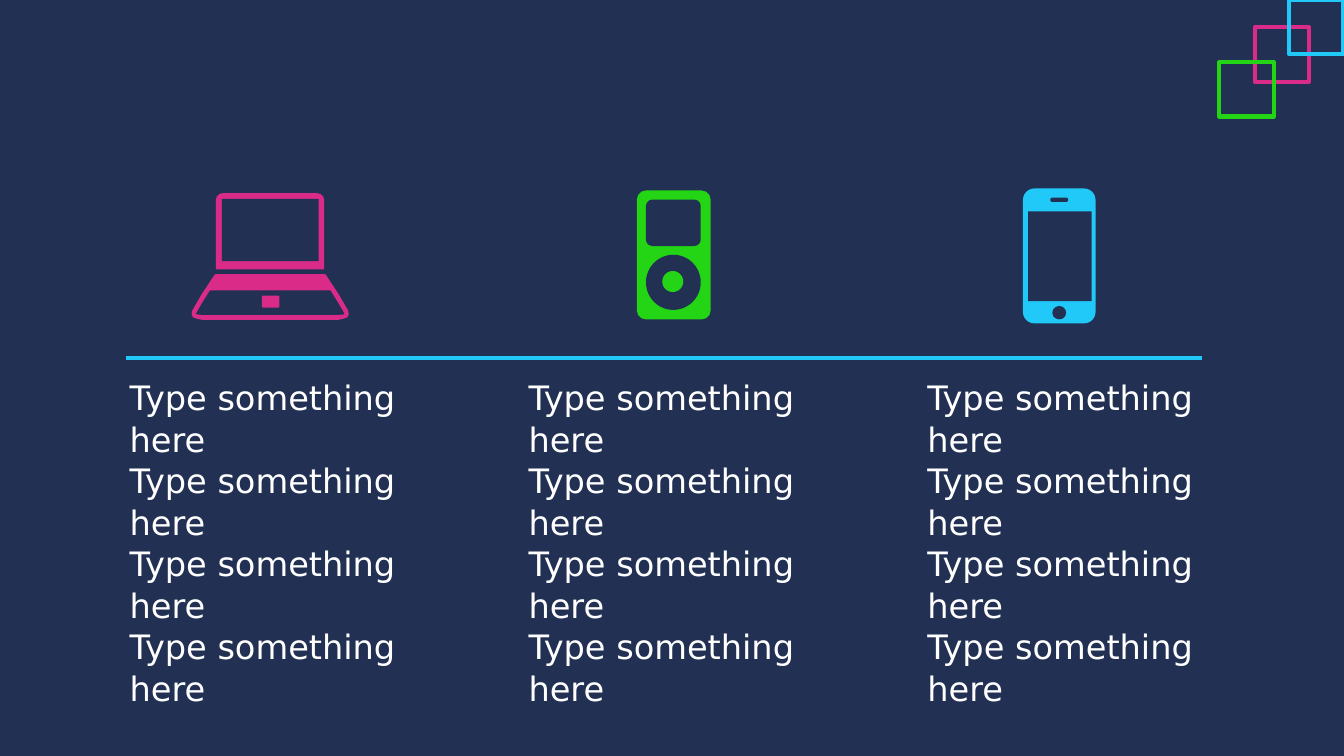
from lxml import etree
from pptx import Presentation
from pptx import util as u
from pptx.dml.color import RGBColor
from pptx.enum import shapes, text
from pptx.oxml import ns

NAVY = RGBColor(0x22, 0x30, 0x54)
PINK = RGBColor(0xDA, 0x2B, 0x89)
GREEN = RGBColor(0x23, 0xD5, 0x15)
BLUE = RGBColor(0x20, 0xC9, 0xF8)
WHITE = RGBColor(0xFF, 0xFF, 0xFF)

FONT = "DejaVu Sans"
PROMPT = "Type something here"
PROMPTS_PER_COLUMN = 4
COLUMN_LEFT, COLUMN_STEP, COLUMN_COUNT = 3.02, 10.05, 3

LAPTOP_CENTER = 6.81
BASE_EDGE = [(1.38, 6.91), (1.42, 6.95), (1.73, 7.42), (1.96, 7.82),
             (1.98, 7.92), (1.94, 8.0), (1.85, 8.03), (1.72, 8.06)]
BASE_OPENING = [(1.52, 7.32), (1.71, 7.62), (1.86, 7.88), (1.87, 7.92), (1.72, 7.94)]

SQUARE_SIZE = 1.37
CORNER_SQUARES = [(31.62, 0.69, PINK), (32.49, 0, BLUE), (30.73, 1.57, GREEN)]


def paint(shape, color):
    """Give a shape a flat fill with no outline or shadow."""
    shape.shadow.inherit = False
    shape.fill.solid()
    shape.fill.fore_color.rgb = color
    shape.line.fill.background()


def add_preset(slide, kind, box, color):
    """Add a flat preset shape; box is left, top, width, height in cm."""
    shape = slide.shapes.add_shape(kind, *map(u.Cm, box))
    paint(shape, color)
    return shape


def add_panel(slide, box, color, radius=0, kind=shapes.MSO_SHAPE.ROUNDED_RECTANGLE):
    """Add a rectangle whose corners have the given radius in cm."""
    if not radius:
        return add_preset(slide, shapes.MSO_SHAPE.RECTANGLE, box, color)
    panel = add_preset(slide, kind, box, color)
    panel.adjustments[0] = radius / min(box[2:])
    return panel


def add_disc(slide, box, color):
    """Add a flat ellipse."""
    return add_preset(slide, shapes.MSO_SHAPE.OVAL, box, color)


def add_symmetric_outline(slide, center, edges, color):
    """Add a freeform whose contours mirror each right-hand edge about center."""
    contours = []
    for edge in edges:
        right = [(center + offset, y) for offset, y in edge]
        left = [(center - offset, y) for offset, y in reversed(edge)]
        contours.append([(u.Cm(x), u.Cm(y)) for x, y in right + left])
    builder = slide.shapes.build_freeform(*contours[0][0])
    builder.add_line_segments(contours[0][1:])
    for contour in contours[1:]:
        builder.move_to(*contour[0])
        builder.add_line_segments(contour[1:])
    paint(builder.convert_to_shape(), color)


def add_laptop(slide):
    """Draw the laptop icon."""
    add_panel(slide, (5.44, 4.87, 2.73, 1.92), PINK, 0.17,
              shapes.MSO_SHAPE.ROUND_2_SAME_RECTANGLE)
    add_panel(slide, (5.59, 5.01, 2.44, 1.57), NAVY)
    add_symmetric_outline(slide, LAPTOP_CENTER, [BASE_EDGE, BASE_OPENING], PINK)
    add_panel(slide, (6.6, 7.45, 0.44, 0.3), PINK, 0.03)


def add_music_player(slide):
    """Draw the music player icon."""
    add_panel(slide, (16.05, 4.8, 1.86, 3.25), GREEN, 0.23)
    add_panel(slide, (16.28, 5.03, 1.38, 1.17), NAVY, 0.16)
    add_disc(slide, (16.28, 6.42, 1.38, 1.39), NAVY)
    add_disc(slide, (16.69, 6.83, 0.53, 0.53), GREEN)


def add_phone(slide):
    """Draw the phone icon."""
    add_panel(slide, (25.78, 4.75, 1.83, 3.4), BLUE, 0.29)
    add_panel(slide, (26.47, 4.98, 0.45, 0.11), NAVY, 0.05)
    add_panel(slide, (25.91, 5.33, 1.6, 2.26), NAVY)
    add_disc(slide, (26.52, 7.71, 0.35, 0.34), NAVY)


def add_text_column(slide, left):
    """Add one column of prompts."""
    box = slide.shapes.add_textbox(u.Cm(left), u.Cm(9.35), u.Cm(8.51), u.Cm(9.5))
    frame = box.text_frame
    frame.word_wrap = True
    frame.vertical_anchor = text.MSO_ANCHOR.TOP
    frame.text = "\n".join([PROMPT] * PROMPTS_PER_COLUMN)
    for paragraph in frame.paragraphs:
        paragraph.line_spacing = 1.03
        font = paragraph.runs[0].font
        font.name = FONT
        font.size = u.Pt(24)
        font.color.rgb = WHITE


def add_corner_square(slide, left, top, color):
    """Add an unfilled decorative square."""
    square = add_panel(slide, (left, top, SQUARE_SIZE, SQUARE_SIZE), color)
    square.fill.background()
    square.line.color.rgb = color
    square.line.width = u.Pt(3)


def add_divider(slide):
    """Add the rule between the icons and the text."""
    divider = slide.shapes.add_connector(shapes.MSO_CONNECTOR.STRAIGHT,
                                         u.Cm(3.18), u.Cm(9.02), u.Cm(30.28), u.Cm(9.02))
    divider.line.color.rgb = BLUE
    divider.line.width = u.Pt(3)
    etree.SubElement(divider._element.spPr, ns.qn("a:effectLst"))


def main():
    """Build and save the slide."""
    presentation = Presentation()
    presentation.slide_width = u.Cm(33.87)
    presentation.slide_height = u.Cm(19.05)
    slide = presentation.slides.add_slide(presentation.slide_layouts[6])
    slide.background.fill.solid()
    slide.background.fill.fore_color.rgb = NAVY
    add_music_player(slide)
    add_phone(slide)
    add_laptop(slide)
    for column in range(COLUMN_COUNT):
        add_text_column(slide, COLUMN_LEFT + column * COLUMN_STEP)
    for left, top, color in CORNER_SQUARES:
        add_corner_square(slide, left, top, color)
    add_divider(slide)
    presentation.save("out.pptx")


main()
